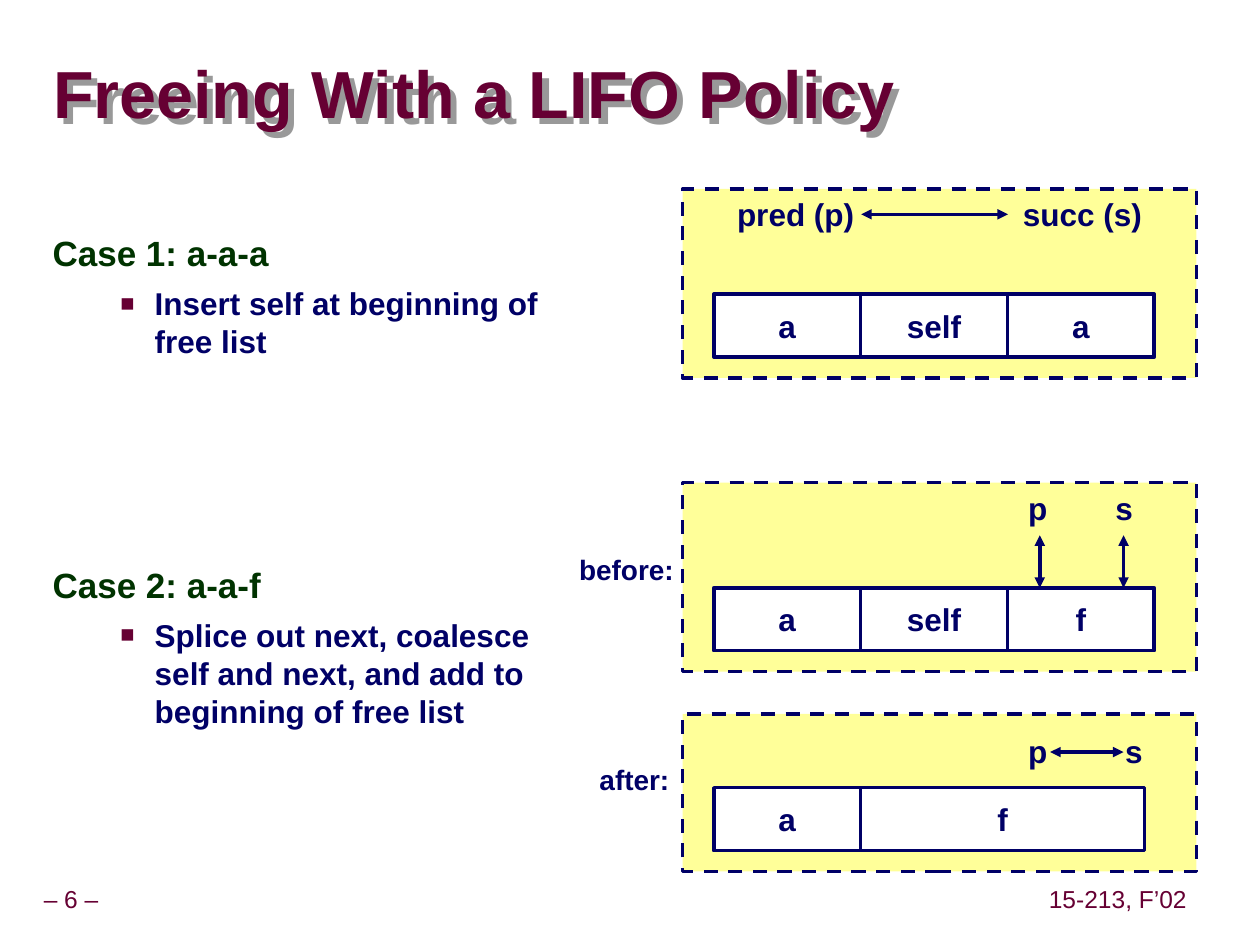
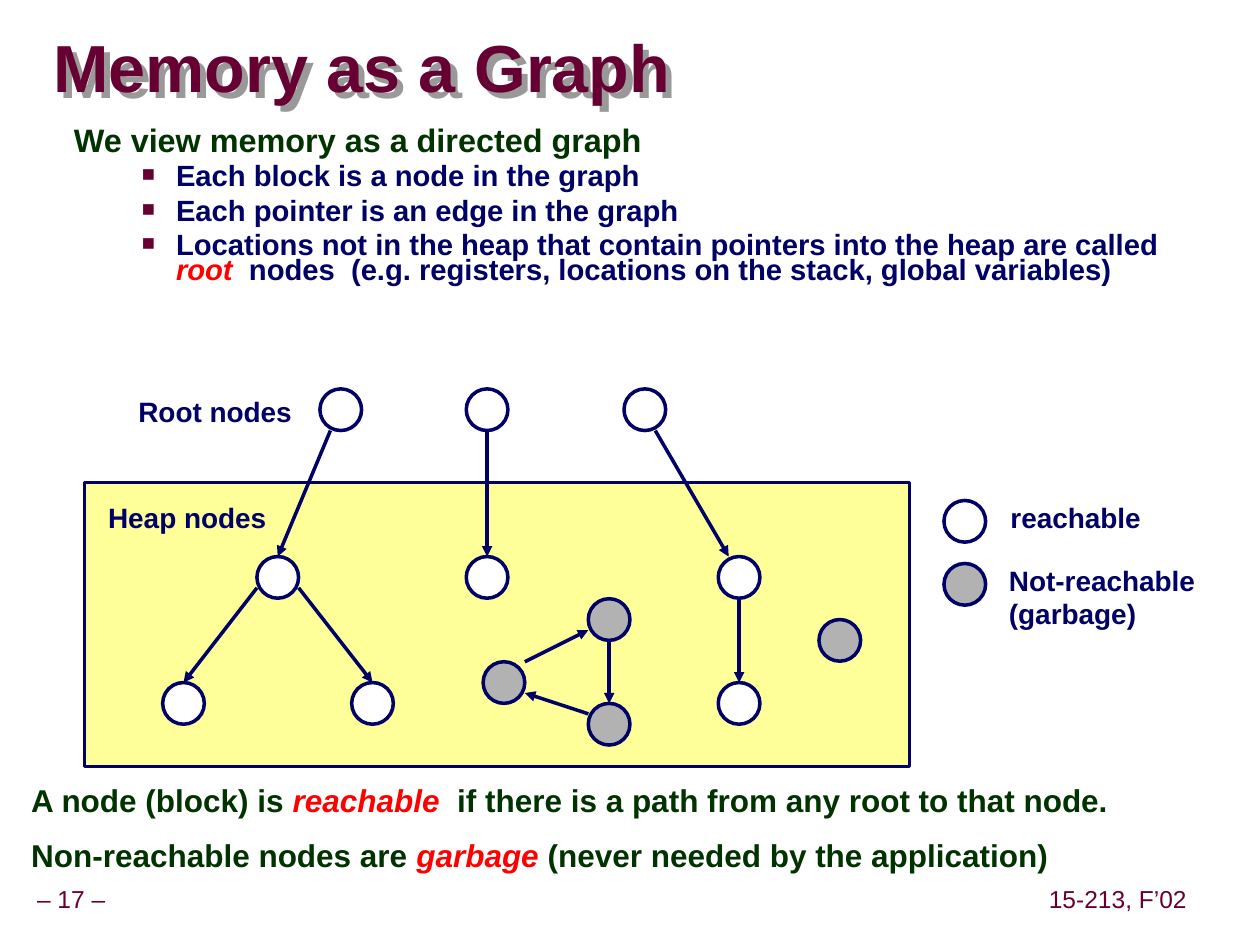
from lxml import etree
from pptx import Presentation
from pptx.dml.color import RGBColor
from pptx.enum.dml import MSO_LINE
from pptx.enum.shapes import MSO_CONNECTOR, MSO_SHAPE
from pptx.enum.text import MSO_ANCHOR, MSO_AUTO_SIZE, PP_ALIGN
from pptx.oxml.ns import qn
from pptx.util import Cm, Pt

RECT, OVAL = MSO_SHAPE.RECTANGLE, MSO_SHAPE.OVAL
LINE, DASH = MSO_CONNECTOR.STRAIGHT, MSO_LINE.DASH
LEFT, MID = PP_ALIGN.LEFT, PP_ALIGN.CENTER
TOP, CENTRE = MSO_ANCHOR.TOP, MSO_ANCHOR.MIDDLE
FIXED, GROW = MSO_AUTO_SIZE.NONE, MSO_AUTO_SIZE.SHAPE_TO_FIT_TEXT

FONT = "Arial"
WINE, GREEN, NAVY, RED = "660033", "003300", "000066", "FF0000"
CREAM, WHITE, GREY, SHADE = "FFFF99", "FFFFFF", "B2B2B2", "999999"

COURSE = "15-213, F’02"

CASES = [
    (4.6, [("head", ["Case 1: a-a-a"]),
           ("item", ["Insert self at beginning of free list"])]),
    (11.29, [("head", ["Case 2: a-a-f"]),
             ("item", ["Splice out next, coalesce self and next, "
                       "and add to beginning of free list"])]),
]

CELL, TALL, EDGE = 2.96, 1.27, 14.39
PANELS = [
    dict(top=3.81, high=3.81, cells=[("a", CELL), ("self", CELL), ("a", CELL)],
         drop=0, tags=[("pred (p)", 16.04, 2.9), ("succ (s)", 21.82, 2.94)],
         arrows=[(17.36, 0.51, 20.32, 0.51)]),
    dict(top=9.73, high=3.81, cells=[("a", CELL), ("self", CELL), ("f", CELL)],
         drop=0, tags=[("p", 20.92, 0.92), ("s", 22.66, 0.9)],
         arrows=[(20.96, 1.06, 20.96, 2.12), (22.65, 1.06, 22.65, 2.12)]),
    dict(top=14.39, high=3.18, cells=[("a", CELL), ("f", 5.72)],
         drop=0.24, tags=[("p", 20.92, 0.92), ("s", 22.86, 0.9)],
         arrows=[(21.17, 0.77, 22.65, 0.77)]),
]
SIDES = [("before:", 11.38, 11, 2.5), ("after:", 11.74, 15.24, 2.1)]

VIEW = [
    ("head", ["We view memory as a directed graph"]),
    ("item", ["Each block is a node in the graph"]),
    ("item", ["Each pointer is an edge in the graph"]),
    ("item", ["Locations not in the heap that contain pointers into the heap "
              "are called ", ("root", RED),
              "  nodes  (e.g. registers, locations on the stack, "
              "global variables)"]),
]
NOTES = [
    ("head", ["A node (block) is ", ("reachable", RED),
              "  if there is a path from any root to that node."]),
    ("head", ["Non-reachable nodes are ", ("garbage ", RED),
              "(never needed by the application)"]),
]

RAD = 0.42
LIVE = {
    "root1": (6.87, 8.26), "root2": (9.82, 8.26), "root3": (13, 8.26),
    "top1": (5.6, 11.64), "top2": (9.82, 11.64), "top3": (14.9, 11.64),
    "leaf1": (3.7, 14.18), "leaf2": (7.51, 14.18), "leaf3": (14.9, 14.18),
    "key": (19.45, 10.51),
}
DEAD = {
    "north": (12.28, 12.49), "south": (12.28, 14.6), "west": (10.16, 13.76),
    "lone": (16.93, 12.91), "key2": (19.45, 11.78),
}
EDGES = [
    ("root1", -0.5, 1, "top1", 0, -1),
    ("root2", 0, 1, "top2", 0, -1),
    ("root3", 0.5, 1, "top3", -0.5, -1),
    ("top1", -1, 0.5, "leaf1", 0, -1),
    ("top1", 1, 0.5, "leaf2", 0, -1),
    ("top3", 0, 1, "leaf3", 0, -1),
    ("north", 0, 1, "south", 0, -1),
    ("south", -1, -0.5, "west", 1, 0.5),
    ("west", 1, -1, "north", -1, 0.5),
]
NAMES = [
    ("Root nodes", 2.54, 7.83, 3.8, 0.94),
    ("Heap nodes", 1.93, 9.96, 3.9, 0.94),
    ("reachable", 20.12, 9.96, 3.4, 0.94),
    ("Not-reachable\n(garbage)", 20.09, 11.23, 4.5, 1.63),
]


def tint(code):
    return RGBColor.from_string(code)


def sub(node, tag, **attrs):
    return etree.SubElement(node, qn(tag), **attrs)


def run(para, text, size, color, bold=True, slant=False):
    part = para.add_run()
    part.text = text
    font = part.font
    font.name, font.size, font.bold, font.italic = FONT, Pt(size), bold, slant
    font.color.rgb = tint(color)


def write(shape, text, size, color, bold=True, align=MID, anchor=CENTRE, fit=FIXED):
    frame = shape.text_frame
    frame.word_wrap = False
    frame.auto_size = fit
    frame.vertical_anchor = anchor
    para = frame.paragraphs[0]
    para.alignment = align
    for num, line in enumerate(text.split("\n")):
        if num:
            para.add_line_break()
        run(para, line, size, color, bold)
    return para


def box(slide, x, y, wide, high):
    return slide.shapes.add_textbox(Cm(x), Cm(y), Cm(wide), Cm(high))


def label(slide, text, x, y, wide, high=0.94, size=16, **style):
    shape = box(slide, x, y, wide, high)
    return write(shape, text, size, NAVY, fit=GROW, **style)


def foot(slide, text, x, wide):
    shape = box(slide, x, 17.77, wide, 0.79)
    frame = shape.text_frame
    frame.margin_left = frame.margin_right = Cm(0.13)
    write(shape, text, 14, WINE, bold=False, fit=GROW).line_spacing = 0.9


def solid(slide, kind, x, y, wide, high, fill):
    shape = slide.shapes.add_shape(kind, Cm(x), Cm(y), Cm(wide), Cm(high))
    shape.shadow.inherit = False
    shape.fill.solid()
    shape.fill.fore_color.rgb = tint(fill)
    shape.line.color.rgb = tint(NAVY)
    shape.line.width = Pt(2)
    return shape


def arrow(slide, x1, y1, x2, y2, both=False):
    link = slide.shapes.add_connector(LINE, Cm(x1), Cm(y1), Cm(x2), Cm(y2))
    link.line.color.rgb = tint(NAVY)
    link.line.width = Pt(2)
    stroke = link.line._get_or_add_ln()
    if both:
        sub(stroke, "a:headEnd", type="triangle")
    sub(stroke, "a:tailEnd", type="triangle")
    sub(link._element.spPr, "a:effectLst")


def bullet(para):
    props = para._p.get_or_add_pPr()
    sub(sub(props, "a:buClr"), "a:srgbClr", val=WINE)
    sub(props, "a:buSzPct", val="75000")
    sub(props, "a:buFont", typeface=FONT)
    sub(props, "a:buChar", char="■")


def indent(para, left, first):
    props = para._p.get_or_add_pPr()
    props.set("marL", str(Cm(left)))
    props.set("indent", str(Cm(first)))


def body(slide, place, paras, sizes, gaps, before=12.5):
    frame = box(slide, *place).text_frame
    frame.word_wrap = True
    looks = {
        "head": (GREEN, sizes[0], gaps[0], before, 1.07, -1.07),
        "item": (NAVY, sizes[1], gaps[1], 5.6, 2.06, -0.69),
    }
    for num, (kind, runs) in enumerate(paras):
        color, size, gap, space, left, first = looks[kind]
        para = frame.add_paragraph() if num else frame.paragraphs[0]
        para.line_spacing = gap
        para.space_before = Pt(space)
        indent(para, left, first)
        if kind == "item":
            para.level = 1
            bullet(para)
        for piece in runs:
            if isinstance(piece, str):
                run(para, piece, size, color)
            else:
                run(para, piece[0], size, piece[1], slant=True)


def start(deck, title, y, wide, page):
    slide = deck.slides.add_slide(deck.slide_layouts[5])
    head = slide.shapes.title
    head.left, head.top, head.width, head.height = Cm(1.07), Cm(y), Cm(wide), Cm(1.6)
    frame = head.text_frame
    frame.margin_left = frame.margin_right = 0
    frame.margin_top = frame.margin_bottom = 0
    write(head, title, 38, WINE, align=LEFT).line_spacing = 0.87
    head.fill.background()
    glow = sub(sub(head._element.spPr, "a:effectLst"), "a:outerShdw",
               dist=str(Cm(0.18)), dir="2700000", algn="ctr", rotWithShape="0")
    sub(glow, "a:srgbClr", val=SHADE)
    foot(slide, f"– {page} –", -0.23, 3.33)
    foot(slide, COURSE, 21.01, 3.05)
    return slide


def panel(slide, top, high, cells, drop, tags, arrows):
    solid(slide, RECT, 13.76, top, 10.36, high, CREAM).line.dash_style = DASH
    for text, mid, wide in tags:
        label(slide, text, mid - wide / 2, top + drop, wide, 1.02, 18)
    x = EDGE
    for text, wide in cells:
        cell = solid(slide, RECT, x, top + high - 1.69, wide, TALL, WHITE)
        write(cell, text, 18, NAVY)
        x += wide
    for x1, y1, x2, y2 in arrows:
        arrow(slide, x1, top + y1, x2, top + y2, both=True)


def policy(deck):
    slide = start(deck, "Freeing With a LIFO Policy", 1.17, 19.71, 6)
    for y, paras in CASES:
        body(slide, (0.81, y, 10.69, 5.2), paras, (20, 18), (0.95, 1.0))
    for group in PANELS:
        panel(slide, **group)
    for side in SIDES:
        label(slide, *side)


def graph(deck):
    slide = start(deck, "Memory as a Graph", 0.64, 17.6, 17)
    body(slide, (1.24, 2.54, 23.52, 3.38), VIEW, (18.5, 16.7), (0.65, 0.7))
    solid(slide, RECT, 1.7, 9.73, 16.64, 5.72, CREAM)
    for group, fill in ((LIVE, WHITE), (DEAD, GREY)):
        for x, y in group.values():
            solid(slide, OVAL, x - RAD, y - RAD, 2 * RAD, 2 * RAD, fill)
    nodes = {**LIVE, **DEAD}
    for tail, dx1, dy1, tip, dx2, dy2 in EDGES:
        (x1, y1), (x2, y2) = nodes[tail], nodes[tip]
        arrow(slide, x1 + dx1 * RAD, y1 + dy1 * RAD,
              x2 + dx2 * RAD, y2 + dy2 * RAD)
    for name in NAMES:
        label(slide, *name, align=LEFT, anchor=TOP)
    body(slide, (0.38, 15.67, 23.95, 2.34), NOTES, (18, 18), (0.95, 0.95), 11.2)


def main():
    deck = Presentation()
    deck.slide_width, deck.slide_height = Cm(25.4), Cm(19.05)
    policy(deck)
    graph(deck)
    deck.save("out.pptx")


if __name__ == "__main__":
    main()
